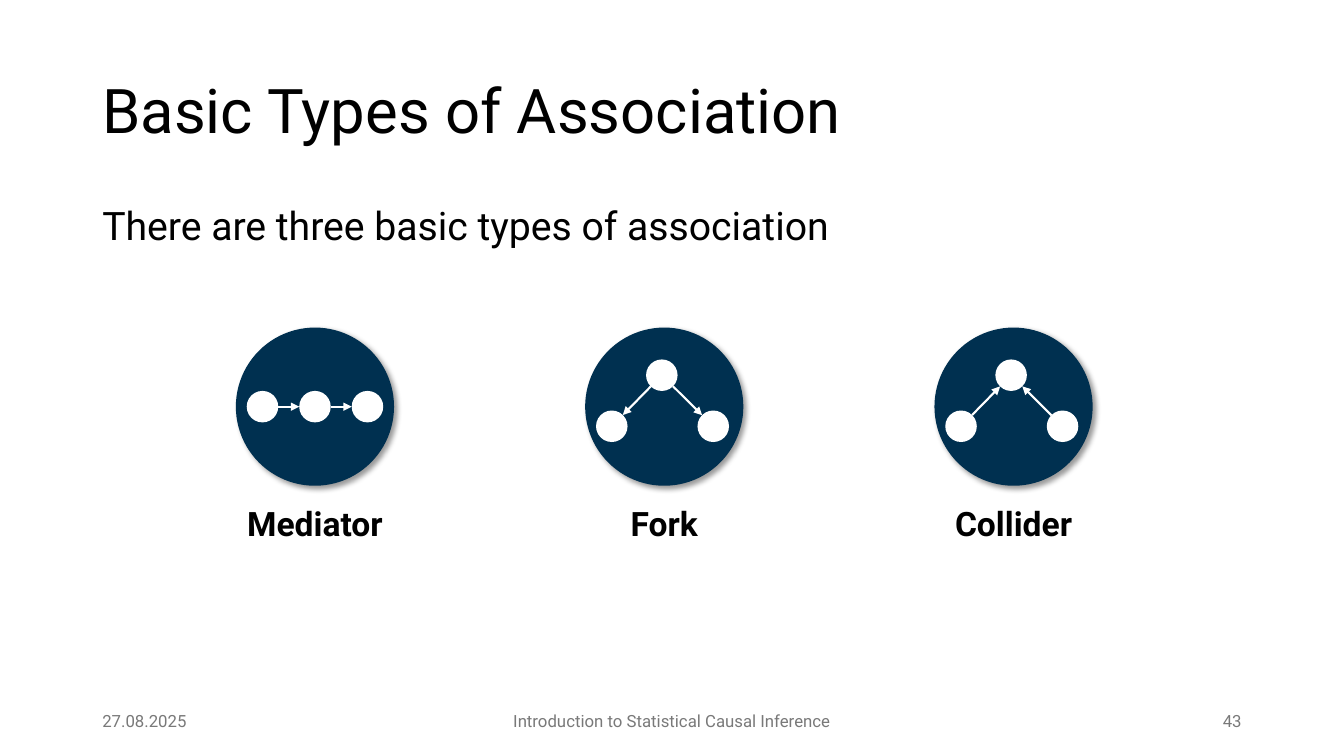
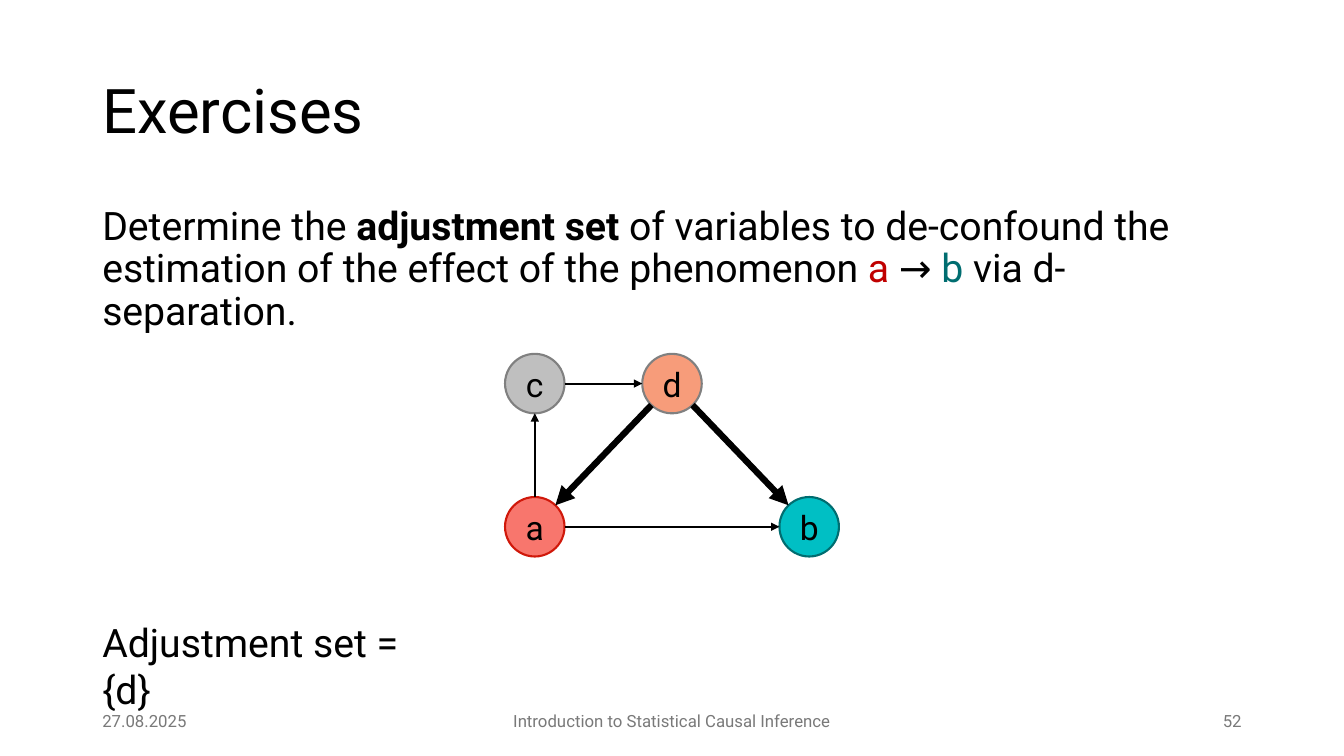
import math

import lxml.etree
import pptx
import pptx.dml.color
import pptx.enum.shapes
import pptx.enum.text
import pptx.oxml.ns
import pptx.util

FONT = "Roboto"
COLORS = {
    "black": "000000",
    "white": "FFFFFF",
    "footer": "797979",
    "navy": "003050",
    "red text": "C00000",
    "teal": "006D70",
    "coral": "F8766D",
    "red": "D0180A",
    "cyan": "00BFC4",
    "silver": "BFBFBF",
    "grey": "808080",
    "salmon": "F79C7A",
}
COLORS = {name: pptx.dml.color.RGBColor.from_string(value) for name, value in COLORS.items()}
LEFT = pptx.enum.text.PP_ALIGN.LEFT
CENTER = pptx.enum.text.PP_ALIGN.CENTER
RIGHT = pptx.enum.text.PP_ALIGN.RIGHT
TOP = pptx.enum.text.MSO_ANCHOR.TOP
MIDDLE = pptx.enum.text.MSO_ANCHOR.MIDDLE


def write(shape, spans, size, align=LEFT, anchor=TOP, spacing=1.0, before=0):
    frame = shape.text_frame
    frame.word_wrap = True
    frame.vertical_anchor = anchor
    para = frame.paragraphs[0]
    para.alignment = align
    para.line_spacing = spacing
    para.space_before = pptx.util.Pt(before)
    for text, color, bold in spans:
        span = para.add_run()
        span.text = text
        span.font.name = FONT
        span.font.size = pptx.util.Pt(size)
        span.font.bold = bold
        span.font.color.rgb = COLORS[color]


def draw_graph(shapes, nodes, diameter, edges=(), edge_color="black"):
    discs = []
    for x, y, fill, outline, label in nodes.values():
        disc = shapes.add_shape(
            pptx.enum.shapes.MSO_SHAPE.OVAL,
            pptx.util.Pt(x - diameter / 2), pptx.util.Pt(y - diameter / 2),
            pptx.util.Pt(diameter), pptx.util.Pt(diameter))
        disc.shadow.inherit = False
        disc.fill.solid()
        disc.fill.fore_color.rgb = COLORS[fill]
        if outline:
            disc.line.color.rgb = COLORS[outline]
            disc.line.width = pptx.util.Pt(1.5)
        else:
            disc.line.fill.background()
        if label:
            write(disc, [(label, "black", False)], 24, CENTER, MIDDLE)
        discs.append(disc)
    for start, end, width in edges:
        x1, y1 = nodes[start][:2]
        x2, y2 = nodes[end][:2]
        share = diameter / 2 / math.hypot(x2 - x1, y2 - y1)
        dx, dy = (x2 - x1) * share, (y2 - y1) * share
        arrow = shapes.add_connector(
            pptx.enum.shapes.MSO_CONNECTOR.STRAIGHT,
            pptx.util.Pt(x1 + dx), pptx.util.Pt(y1 + dy),
            pptx.util.Pt(x2 - dx), pptx.util.Pt(y2 - dy))
        arrow.line.color.rgb = COLORS[edge_color]
        arrow.line.width = pptx.util.Pt(width)
        properties = arrow.element.spPr
        outline = properties.find(pptx.oxml.ns.qn("a:ln"))
        lxml.etree.SubElement(outline, pptx.oxml.ns.qn("a:tailEnd"), type="triangle")
        lxml.etree.SubElement(properties, pptx.oxml.ns.qn("a:effectLst"))
    return discs


deck = pptx.Presentation()
deck.slide_width = pptx.util.Pt(960)
deck.slide_height = pptx.util.Pt(540)

contents = [
    ("Basic Types of Association", "43",
     [("There are three basic types of association", "black", False)]),
    ("Exercises", "52",
     [("Determine the ", "black", False),
      ("adjustment set", "black", True),
      (" of variables to de-confound the estimation of the effect of the phenomenon ", "black", False),
      ("a ", "red text", False),
      ("→ ", "black", False),
      ("b", "teal", False),
      (" via d-separation.", "black", False)]),
]
pages = []
for title, number, body in contents:
    page = deck.slides.add_slide(deck.slide_layouts[6])
    pages.append(page)
    blocks = [
        (66, 29, 749, 104, [(title, "black", False)], 44, LEFT, MIDDLE, 0.9, 0),
        (66, 144, 828, 89, body, 28, LEFT, TOP, 0.9, 10),
        (66, 500.5, 216, 28.75, [("27.08.2025", "footer", False)], 12, LEFT, MIDDLE),
        (318, 500.5, 324, 28.75,
         [("Introduction to Statistical Causal Inference", "footer", False)], 12, CENTER, MIDDLE),
        (678, 500.5, 216, 28.75, [(number, "footer", False)], 12, RIGHT, MIDDLE),
    ]
    for left, top, width, height, *text in blocks:
        box = page.shapes.add_textbox(
            pptx.util.Pt(left), pptx.util.Pt(top), pptx.util.Pt(width), pptx.util.Pt(height))
        write(box, *text)

association_page, exercise_page = pages

row = [(-37.5, 0), (0, 0), (37.5, 0)]
triangle = [(-37.5, 14), (-1.75, -22.5), (35, 14)]
associations = [
    ("Mediator", row, [(0, 1), (1, 2)]),
    ("Fork", triangle, [(1, 0), (1, 2)]),
    ("Collider", triangle, [(0, 1), (2, 1)]),
]
middle = 290.5
for column, (name, offsets, links) in enumerate(associations):
    center = 225 + 249.5 * column
    shapes = association_page.shapes.add_group_shape().shapes
    badge = draw_graph(shapes, {"badge": (center, middle, "navy", None, "")}, 113)[0]
    effects = badge.element.spPr.find(pptx.oxml.ns.qn("a:effectLst"))
    shadow = lxml.etree.SubElement(
        effects, pptx.oxml.ns.qn("a:outerShdw"),
        blurRad=str(pptx.util.Pt(4)), dist=str(pptx.util.Pt(3)), dir="2700000", algn="tl")
    tint = lxml.etree.SubElement(shadow, pptx.oxml.ns.qn("a:srgbClr"), val=str(COLORS["black"]))
    lxml.etree.SubElement(tint, pptx.oxml.ns.qn("a:alpha"), val="40000")
    nodes = {index: (center + dx, middle + dy, "white", None, "")
             for index, (dx, dy) in enumerate(offsets)}
    draw_graph(shapes, nodes, 22.5, [(start, end, 1.5) for start, end in links], "white")
    label = shapes.add_textbox(
        pptx.util.Pt(center - 80), pptx.util.Pt(355.75), pptx.util.Pt(160), pptx.util.Pt(36))
    write(label, [(name, "black", True)], 24, CENTER)

variables = {
    "a": (382, 376.25, "coral", "red", "a"),
    "b": (578, 376.25, "cyan", "teal", "b"),
    "c": (382, 274, "silver", "grey", "c"),
    "d": (480, 274, "salmon", "grey", "d"),
}
effects = [("a", "b", 1.5), ("d", "a", 4.5), ("c", "d", 1.5), ("d", "b", 4.5), ("a", "c", 1.5)]
draw_graph(exercise_page.shapes, variables, 42.5, effects)
answer = exercise_page.shapes.add_textbox(
    pptx.util.Pt(66), pptx.util.Pt(438), pptx.util.Pt(258), pptx.util.Pt(41))
write(answer, [("Adjustment set = {d}", "black", False)], 28)

deck.save("out.pptx")
